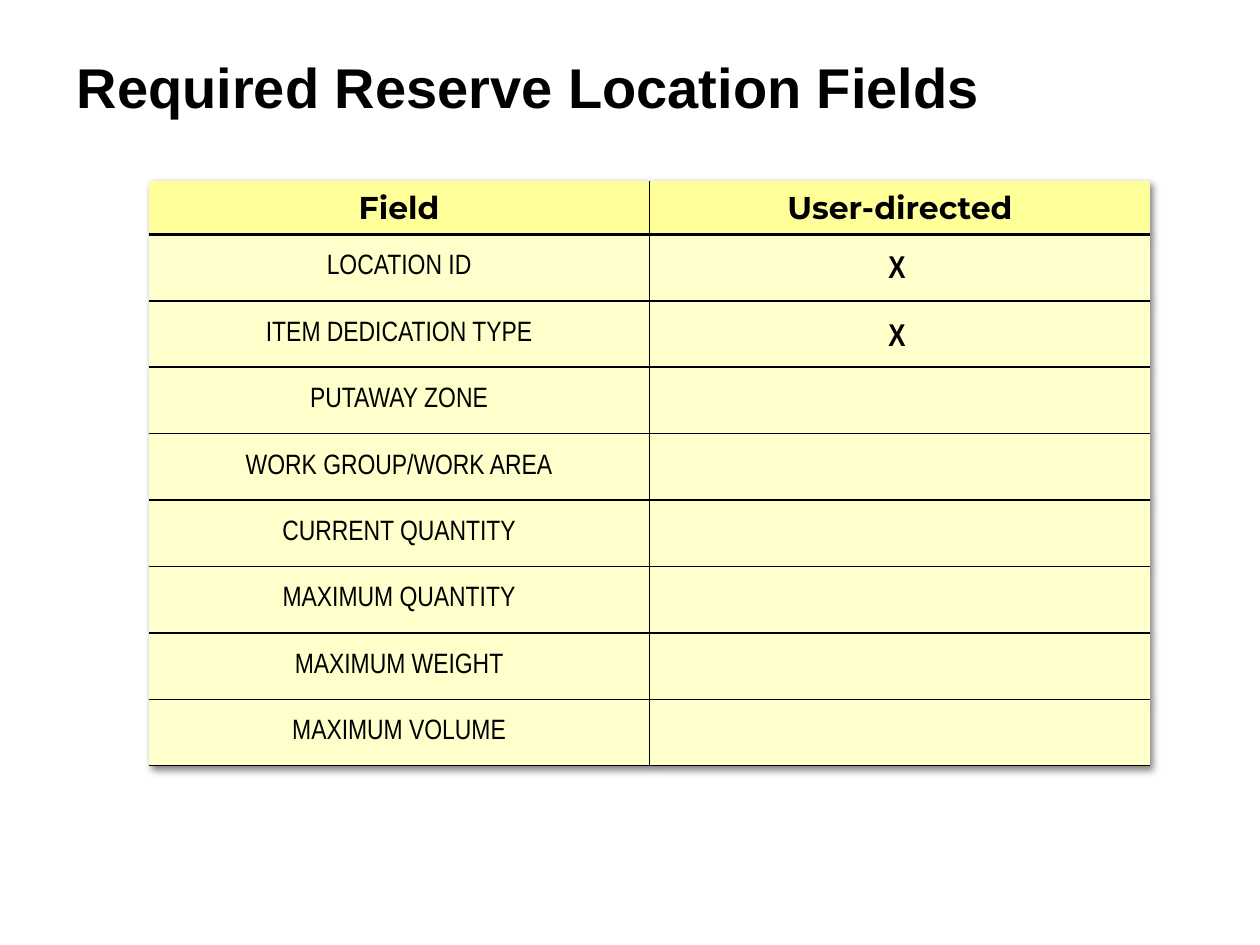
"""Build the slide that lists the required reserve location fields."""
from dataclasses import dataclass

from pptx import Presentation
from pptx.dml.color import RGBColor
from pptx.enum.text import MSO_ANCHOR, PP_ALIGN
from pptx.oxml import parse_xml
from pptx.oxml.ns import nsdecls, qn
from pptx.util import Inches, Pt


@dataclass(frozen=True)
class Theme:
    """Colours, type styles and line widths of the slide."""
    ink: str = "000000"
    text: str = "010000"
    header_fill: str = "FFFF99"
    body_fill: str = "FFFFCC"
    title: tuple = ("Arial", 32, True)
    header: tuple = ("Montserrat", 18, True)
    body: tuple = ("Arial Narrow", 16, False)
    mark: tuple = ("Arial Narrow", 18, True)
    thin: int = 1
    thick: int = 2
    plain_table: str = "{2D5ABB26-0587-4C30-8999-92F81FD0307C}"


class SlideBuilder:
    """Draw elements on one slide, placed on a grid of 100 columns by 75 rows."""

    def __init__(self, presentation, theme):
        """Add a blank slide and work out the grid unit."""
        self.theme = theme
        self.slide = presentation.slides.add_slide(presentation.slide_layouts[6])
        self.column = presentation.slide_width / 100
        self.row = presentation.slide_height / 75

    def place(self, left, top, width, height):
        """Turn grid columns and rows into lengths."""
        units = (self.column, self.row) * 2
        return [round(value * unit) for value, unit in zip((left, top, width, height), units)]

    def add_words(self, frame, text, style, color, alignment):
        """Put one styled paragraph into a text frame."""
        paragraph = frame.paragraphs[0]
        paragraph.alignment = alignment
        run = paragraph.add_run()
        run.text = text
        name, size, bold = style
        for attribute, value in {"name": name, "size": Pt(size), "bold": bold}.items():
            setattr(run.font, attribute, value)
        run.font.color.rgb = RGBColor.from_string(color)

    def text(self, area, text, style, color, alignment, anchor):
        """Add a wrapped text box."""
        frame = self.slide.shapes.add_textbox(*self.place(*area)).text_frame
        for attribute, value in {"word_wrap": True, "vertical_anchor": anchor}.items():
            setattr(frame, attribute, value)
        self.add_words(frame, text, style, color, alignment)

    def borders(self, cell, widths):
        """Draw the named sides of a cell and clear the others."""
        properties = cell._tc.get_or_add_tcPr()
        for index, side in enumerate("LRTB"):
            width = widths.get(side, 0)
            paint = (f'<a:solidFill><a:srgbClr val="{self.theme.ink}"/></a:solidFill>'
                     if width else "<a:noFill/>")
            properties.insert(index, parse_xml(
                f'<a:ln{side} {nsdecls("a")} w="{Pt(width)}">{paint}</a:ln{side}>'))

    def shadow(self, table):
        """Give a table a soft shadow to the lower right."""
        table._tbl.tblPr.insert(0, parse_xml(
            f'<a:effectLst {nsdecls("a")}><a:outerShdw blurRad="{Inches(0.05)}" '
            f'dist="{Inches(0.04)}" dir="2700000" algn="tl" rotWithShape="0">'
            f'<a:srgbClr val="{self.theme.ink}"><a:alpha val="50000"/></a:srgbClr>'
            '</a:outerShdw></a:effectLst>'))

    def table(self, area, header_height, rows):
        """Add a ruled table with a header row and equal body rows."""
        theme = self.theme
        left, top, width, height = self.place(*area)
        table = self.slide.shapes.add_table(
            len(rows), len(rows[0]), left, top, width, height).table
        table._tbl.tblPr.find(qn("a:tableStyleId")).text = theme.plain_table
        self.shadow(table)
        header = round(header_height * self.row)
        last_column = len(rows[0]) - 1
        for row, texts in enumerate(rows):
            table.rows[row].height = header if row == 0 else (height - header) // (len(rows) - 1)
            fill, style = ((theme.body_fill, theme.body) if row
                           else (theme.header_fill, theme.header))
            for column, text in enumerate(texts):
                cell = table.cell(row, column)
                cell.vertical_anchor = MSO_ANCHOR.MIDDLE
                cell.fill.solid()
                cell.fill.fore_color.rgb = RGBColor.from_string(fill)
                widths = {"B": theme.thin if row else theme.thick}
                if row:
                    widths["T"] = theme.thick if row == 1 else theme.thin
                if column > 0:
                    widths["L"] = theme.thin
                if column < last_column:
                    widths["R"] = theme.thin
                self.borders(cell, widths)
                if text:
                    self.add_words(cell.text_frame, text, style, theme.text, PP_ALIGN.CENTER)


def main():
    """Build and save the presentation."""
    presentation = Presentation()
    presentation.slide_width, presentation.slide_height = Inches(10), Inches(7.5)
    theme = Theme()
    builder = SlideBuilder(presentation, theme)
    builder.text((5.1, 3.5, 87.5, 6.7), "Required Reserve Location Fields",
                 theme.title, theme.ink, PP_ALIGN.LEFT, MSO_ANCHOR.MIDDLE)
    fields = ("LOCATION ID", "ITEM DEDICATION TYPE", "PUTAWAY ZONE", "WORK GROUP/WORK AREA",
              "CURRENT QUANTITY", "MAXIMUM QUANTITY", "MAXIMUM WEIGHT", "MAXIMUM VOLUME")
    builder.table((11.8, 14.4, 79.5, 46.4), 4.2,
                  [("Field", "User-directed"), *((field, "") for field in fields)])
    for top in (24.5, 19.1):
        builder.text((52.3, top, 37.8, 5), "X", theme.mark, theme.text,
                     PP_ALIGN.CENTER, MSO_ANCHOR.TOP)
    presentation.save("out.pptx")


if __name__ == "__main__":
    main()
